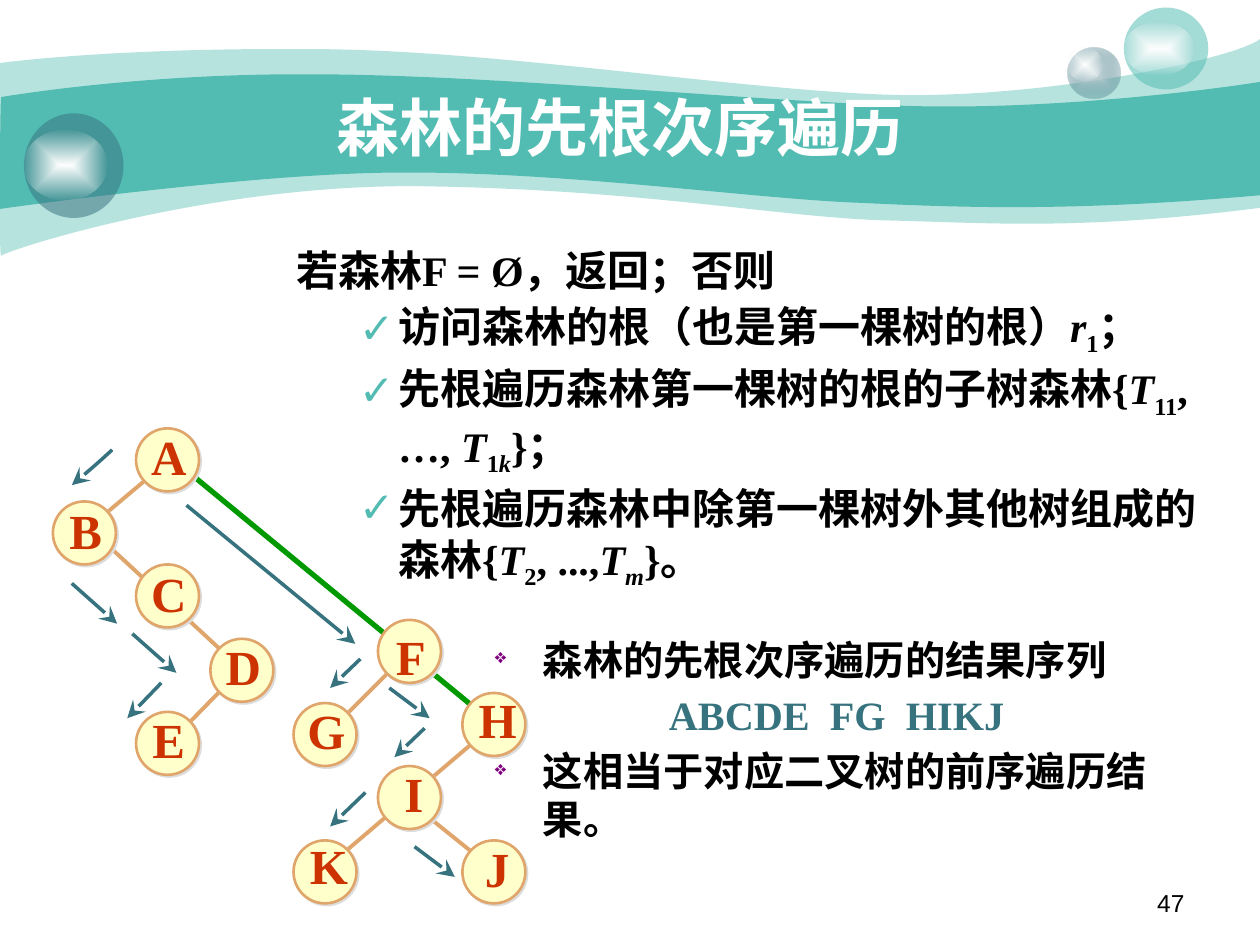
import pptx
import pptx.dml.color
import pptx.enum.shapes
import pptx.enum.text
import pptx.oxml
import pptx.oxml.ns
import pptx.util

Inches, Pt = pptx.util.Inches, pptx.util.Pt
Align, Anchor = pptx.enum.text.PP_ALIGN, pptx.enum.text.MSO_ANCHOR
Fit = pptx.enum.text.MSO_AUTO_SIZE
TEAL, SLATE, TAN, GREEN, WHITE, BLACK = "52BCB2", "37737F", "E0A56A", "009900", "FFFFFF", "000000"
SERIF, CJK = "Times New Roman", "Noto Sans CJK SC"


def color(value):
    return pptx.dml.color.RGBColor.from_string(value)


def add_xml(parent, tag, content="", **attributes):
    """Append a drawing element to parent and return it."""
    listed = "".join(f' {key}="{value}"' for key, value in attributes.items())
    space = pptx.oxml.ns.nsdecls("a")
    element = pptx.oxml.parse_xml(f"<a:{tag} {space}{listed}>{content}</a:{tag}>")
    parent.append(element)
    return element


class SlideBuilder:
    def __init__(self, page):
        self.page = page
        self.shapes = page.shapes

    def paint(self, shape, fill, opacity=100):
        shape.shadow.inherit = False
        shape.fill.solid()
        shape.fill.fore_color.rgb = color(fill)
        shape.line.fill.background()
        if opacity < 100:
            tone = shape.element.spPr.find(".//" + pptx.oxml.ns.qn("a:srgbClr"))
            add_xml(tone, "alpha", val=opacity * 1000)

    def outline(self, start, segments, close):
        """A segment is an end point, or two control points and an end point."""
        points = [start] + [segment[-2:] for segment in segments]
        left, top = (min(values) for values in zip(*points))
        grid = [(round(x * 100), round(y * 100)) for x, y in points]
        builder = self.shapes.build_freeform(*grid[0], scale=Inches(0.01))
        builder.add_line_segments(grid[1:], close=close)
        shape = builder.convert_to_shape()
        straight = list(shape.element.spPr.iter(pptx.oxml.ns.qn("a:lnTo")))
        for element, segment in zip(straight, segments):
            if len(segment) == 6:
                content = "".join(
                    f'<a:pt x="{round((x - left) * 100)}" y="{round((y - top) * 100)}"/>'
                    for x, y in zip(segment[::2], segment[1::2]))
                holder = element.getparent()
                holder.replace(element, add_xml(holder, "cubicBezTo", content))
        return shape

    def wave(self, start, segments, fill, opacity=100):
        self.paint(self.outline(start, segments, True), fill, opacity)

    def ellipse(self, left, top, width, height, fill, opacity=100):
        shape = self.shapes.add_shape(pptx.enum.shapes.MSO_SHAPE.OVAL,
                                      *map(Inches, (left, top, width, height)))
        self.paint(shape, fill, opacity)
        return shape

    def glow(self, bounds, inner, outer, outer_opacity):
        shape = self.ellipse(*bounds, inner)
        properties = shape.element.spPr
        solid = properties.find(pptx.oxml.ns.qn("a:solidFill"))
        gradient = add_xml(
            properties, "gradFill",
            f'<a:gsLst><a:gs pos="0"><a:srgbClr val="{inner}"/></a:gs><a:gs pos="100000">'
            f'<a:srgbClr val="{outer}"><a:alpha val="{outer_opacity * 1000}"/></a:srgbClr></a:gs>'
            '</a:gsLst><a:path path="rect"><a:fillToRect l="50000" t="50000" r="50000" '
            'b="50000"/></a:path>', rotWithShape=1)
        properties.replace(solid, gradient)

    def stroke(self, shape, tone, width, arrow=False):
        shape.line.color.rgb = color(tone)
        shape.line.width = Pt(width)
        if arrow:
            add_xml(shape.line._get_or_add_ln(), "tailEnd", type="stealth", w="lg", len="lg")

    def line(self, x1, y1, x2, y2, tone, width, arrow=False):
        line = self.shapes.add_connector(pptx.enum.shapes.MSO_CONNECTOR.STRAIGHT,
                                         *map(Inches, (x1, y1, x2, y2)))
        self.stroke(line, tone, width, arrow)
        add_xml(line.element.spPr, "effectLst")

    def curved_arrow(self, start, curve, tone, width):
        shape = self.outline(start, [curve], False)
        shape.shadow.inherit = False
        shape.fill.background()
        self.stroke(shape, tone, width, arrow=True)

    def node(self, left, top):
        shape = self.ellipse(left, top, 0.5, 0.5, "FFFFCC")
        self.stroke(shape, TAN, 1.5)
        effects = shape.element.spPr.find(pptx.oxml.ns.qn("a:effectLst"))
        add_xml(effects, "outerShdw", '<a:srgbClr val="DDDDDD"/>', blurRad=0,
                dist=Pt(1.4), dir=45 * 60000, algn="ctr", rotWithShape=0)

    def text(self, box, paragraphs, size, tone, font=SERIF, bold=True, **frame_values):
        """Each paragraph is (spans, paragraph values, layout values)."""
        frame = box.text_frame
        for key, value in {"word_wrap": True, "auto_size": Fit.NONE, **frame_values}.items():
            setattr(frame, key, value)
        for index, (spans, values, layout) in enumerate(paragraphs):
            para = frame.add_paragraph() if index else frame.paragraphs[0]
            for key, value in values.items():
                setattr(para, key, value)
            self.bullet(para, **layout)
            for words, marks in spans:
                span = para.add_run()
                span.text = words
                style = {"size": Pt(size), "name": font, "bold": bold, "italic": "i" in marks}
                for key, value in style.items():
                    setattr(span.font, key, value)
                span.font.color.rgb = color(SLATE if "s" in marks else tone)
                properties = span.font._element
                add_xml(properties, "ea", typeface=CJK)
                if "-" in marks:
                    properties.set("baseline", "-25000")

    def bullet(self, para, margin=0, indent=0, sign=None, tone=BLACK, percent=100):
        properties = para._p.get_or_add_pPr()
        for key, value in {"marL": Inches(margin), "indent": Inches(indent),
                           "hangingPunct": 0}.items():
            properties.set(key, str(int(value)))
        if sign:
            add_xml(properties, "buClr", f'<a:srgbClr val="{tone}"/>')
            add_xml(properties, "buSzPct", val=percent * 1000)
            add_xml(properties, "buChar", char=sign)
        else:
            add_xml(properties, "buNone")

    def text_box(self, bounds, *arguments, **values):
        box = self.shapes.add_textbox(*map(Inches, bounds))
        self.text(box, *arguments, **values)

    def placeholder(self, box, bounds, *arguments, **values):
        for key, value in zip(("left", "top", "width", "height"), bounds):
            setattr(box, key, Inches(value))
        box.element.getparent().append(box.element)  # bring in front of the waves
        self.text(box, *arguments, **values)


def main():
    deck = pptx.Presentation()
    deck.slide_width, deck.slide_height = Inches(10), Inches(7.5)
    slide = SlideBuilder(deck.slides.add_slide(deck.slide_layouts[1]))

    # Waves across the top
    slide.wave((0, 0.5), [
        (0.24, 0.47, 1.07, 0.38, 2.47, 0.39), (3.86, 0.39, 5.75, 0.7, 6.99, 0.75),
        (8.22, 0.8, 9.8, 0.47, 10, 0.31), (10, 1.65),
        (8.58, 1.83, 7.87, 1.77, 7.05, 1.75), (6.22, 1.73, 5.15, 1.51, 3.43, 1.48),
        (1.72, 1.44, 0.04, 1.99, 0.01, 2.03), (-0.01, 2.08, 0, 0.75, 0, 0.5)], TEAL, 41)
    slide.wave((0.01, 0.77), [
        (0.02, 0.77, 1.1, 0.58, 2.48, 0.59), (3.86, 0.59, 5.95, 0.8, 7.18, 0.84),
        (8.41, 0.88, 9.76, 0.69, 10, 0.65), (10, 1.55),
        (8.53, 1.68, 7.65, 1.65, 6.82, 1.61), (5.99, 1.58, 4.47, 1.36, 3.17, 1.37),
        (2.03, 1.37, -0.02, 1.66, -0.01, 1.66), (0, 1.66, 0, 0.77, 0.01, 0.77)], TEAL)

    # Bubbles, each with a highlight
    slide.glow((8.47, 0.38, 0.42, 0.4), "CCDBDE", SLATE, 31)
    slide.glow((8.47, 0.38, 0.28, 0.27), WHITE, WHITE, 0)
    slide.ellipse(8.92, 0.06, 0.67, 0.65, TEAL, 53)
    slide.glow((8.92, 0.17, 0.56, 0.43), WHITE, WHITE, 0)
    slide.ellipse(0.19, 0.9, 0.79, 0.83, SLATE, 53)
    slide.glow((0.19, 1.03, 0.66, 0.56), WHITE, WHITE, 0)

    # Slide number, algorithm and title
    slide.text_box((7.17, 7, 2.33, 0.35), [([("47", "")], {"alignment": Align.RIGHT}, {})],
                   14, BLACK, font="Arial", bold=False)
    spacing = {"line_spacing": 1.0, "space_before": Pt(3)}
    steps = [
        [("访问森林的根（也是第一棵树的根）", ""), ("r", "i"), ("1", "-"), ("；", "")],
        [("先根遍历森林第一棵树的根的子树森林{", ""), ("T", "i"), ("11", "-"), (", …, ", ""),
         ("T", "i"), ("1", "-"), ("k", "i-"), ("}；", "")],
        [("先根遍历森林中除第一棵树外其他树组成的森林{", ""), ("T", "i"), ("2", "-"),
         (", ...,", ""), ("T", "i"), ("m", "i-"), ("}。", "")]]
    check = {"margin": 0.81, "indent": -0.31, "sign": "✓", "tone": TEAL}
    opening = ([("若森林F = Ø，返回；否则", "")], spacing, {"margin": 0.38, "indent": -0.38})
    slide.placeholder(slide.page.placeholders[1], (2.25, 1.89, 7.5, 2.95),
                      [opening] + [(step, {"level": 1, **spacing}, check) for step in steps],
                      24, BLACK, vertical_anchor=Anchor.TOP)
    slide.placeholder(slide.shapes.title, (0.42, 0.58, 9, 0.84),
                      [([("森林的先根次序遍历", "")], {"alignment": Align.CENTER}, {})],
                      36, WHITE, font=CJK, vertical_anchor=Anchor.MIDDLE)

    # Tree edges: green joins the roots of the forest
    slide.line(1.5, 3.75, 3.83, 5.67, GREEN, 3)
    for ends in [(1.83, 5.4, 1.42, 5.82), (0.75, 4.23, 1.83, 5.23), (1.25, 3.73, 0.75, 4.15),
                 (3.42, 6.5, 3.83, 6.83), (3.83, 5.83, 2.75, 6.75), (3.17, 5.25, 2.67, 5.75)]:
        slide.line(*ends, TAN, 2.25)

    # Tree nodes: left, top, then left, top and width of the label
    nodes = {"A": (1.08, 3.4, 1.1, 3.33, 0.48), "B": (0.42, 3.98, 0.45, 3.92, 0.46),
             "C": (1.08, 4.48, 1.1, 4.42, 0.48), "D": (1.67, 5.07, 1.69, 5, 0.48),
             "E": (1.08, 5.65, 1.11, 5.58, 0.46), "F": (3, 4.92, 3.04, 4.92, 0.44),
             "G": (2.33, 5.58, 2.34, 5.51, 0.5), "H": (3.67, 5.5, 3.7, 5.42, 0.5),
             "I": (3, 6.08, 3.11, 6.01, 0.35), "J": (3.67, 6.67, 3.75, 6.6, 0.39),
             "K": (2.33, 6.67, 2.36, 6.58, 0.5)}
    for name, (left, top, label_left, label_top, width) in nodes.items():
        slide.node(left, top)
        slide.text_box((label_left, label_top, width, 0.57),
                       [([(name, "")], {"alignment": Align.CENTER}, {})], 28, "CC3300",
                       word_wrap=False, auto_size=Fit.SHAPE_TO_FIT_TEXT,
                       vertical_anchor=Anchor.MIDDLE)

    # Order of the visits
    slide.curved_arrow((0.89, 3.57), (0.76, 3.69, 0.63, 3.8, 0.57, 3.85), SLATE, 2)
    for ends in [(0.57, 4.63, 0.93, 4.95), (1.05, 5.03, 1.4, 5.34), (1.28, 5.42, 1.01, 5.7),
                 (1.48, 4.01, 2.82, 5.11), (2.86, 5.23, 2.62, 5.46), (3.09, 5.46, 3.41, 5.7),
                 (3.37, 5.78, 3.13, 6.01), (2.9, 6.29, 2.62, 6.56), (3.29, 6.72, 3.61, 6.96)]:
        slide.line(*ends, SLATE, 2, arrow=True)

    # Resulting sequence
    diamond = {"margin": 0.38, "indent": -0.38, "sign": "❖", "tone": "800080", "percent": 50}
    gap = {"space_before": Pt(4.2)}
    slide.text_box((3.83, 4.99, 5.92, 1.51),
                   [([("森林的先根次序遍历的结果序列", "")], gap, diamond),
                    ([("ABCDE  FG  HIKJ", "s")], gap, {"margin": 1.38}),
                    ([("这相当于对应二叉树的前序遍历结果。", "")], gap, diamond)], 23, BLACK)

    deck.save("out.pptx")


if __name__ == "__main__":
    main()
